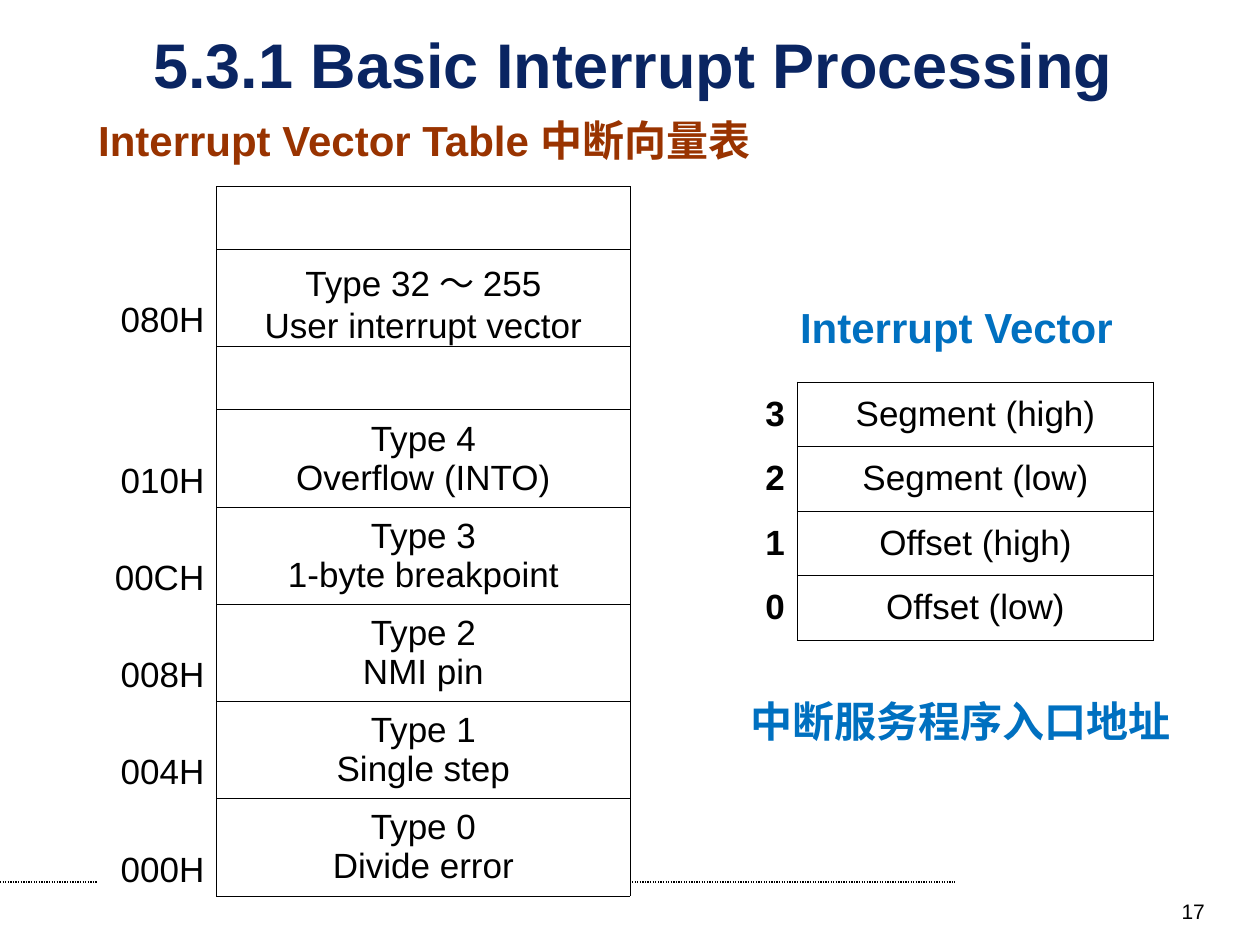
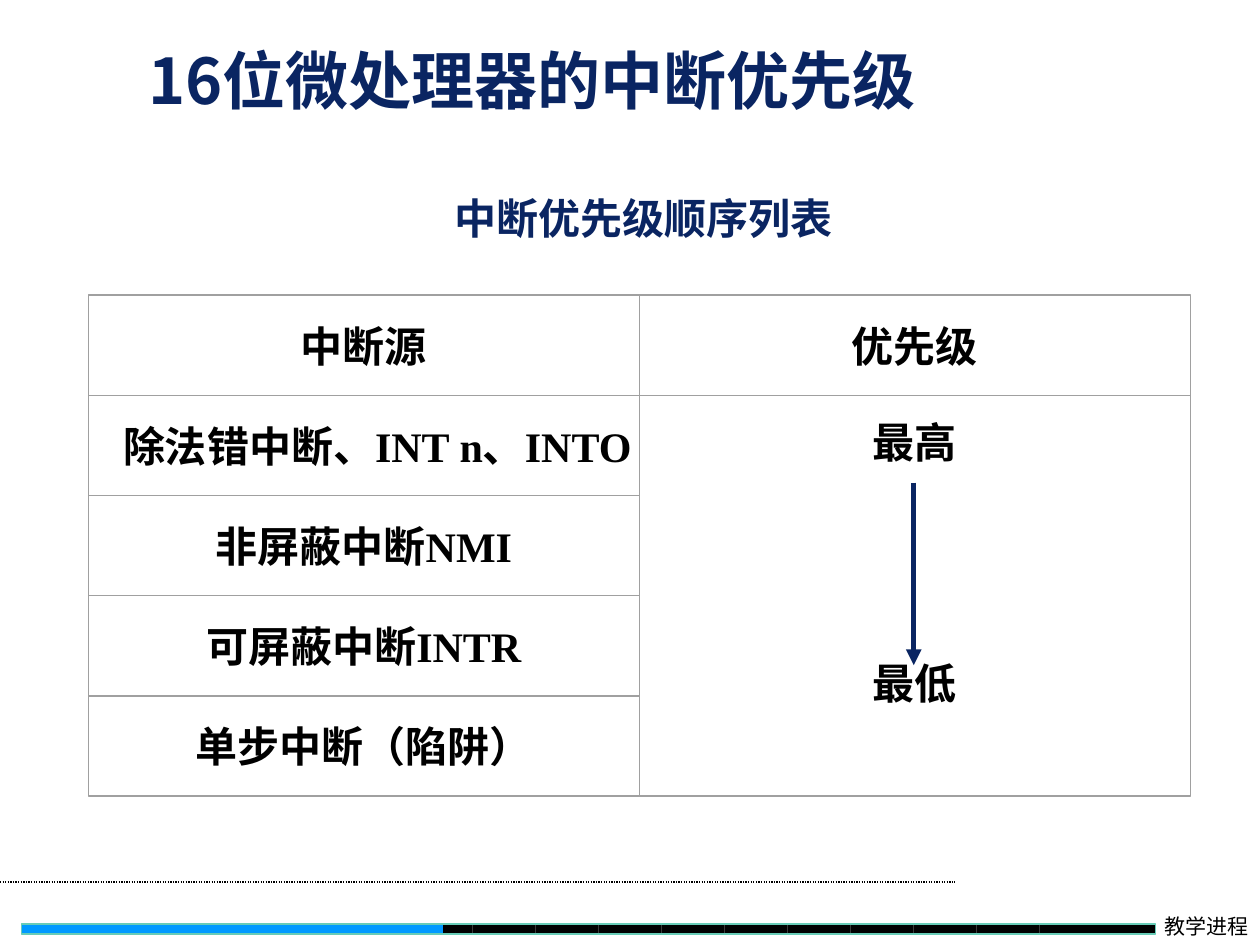
from lxml import etree
from pptx import Presentation
from pptx import util as u
from pptx.dml.color import RGBColor
from pptx.enum import dml, shapes, text
from pptx.oxml import ns

NAVY = RGBColor(0x0A, 0x25, 0x62)
RUST = RGBColor(0x99, 0x33, 0x00)
BLUE = RGBColor(0x00, 0x70, 0xC0)
BLACK = RGBColor(0, 0, 0)
WHITE = RGBColor(255, 255, 255)
GRID_GREY = RGBColor(0xA0, 0xA0, 0xA0)
PROGRESS_BLUE = RGBColor(0x00, 0x99, 0xFF)
PROGRESS_EDGE = RGBColor(0x68, 0xCC, 0xB7)

ARIAL, TIMES, CJK = "Arial", "Times New Roman", "Noto Sans CJK SC"
LEFT, CENTER = text.PP_ALIGN.LEFT, text.PP_ALIGN.CENTER
RIGHT, JUSTIFY = text.PP_ALIGN.RIGHT, text.PP_ALIGN.JUSTIFY
TOP, MIDDLE, BOTTOM = text.MSO_ANCHOR.TOP, text.MSO_ANCHOR.MIDDLE, text.MSO_ANCHOR.BOTTOM


class Deck:
    """Shared style and the slide being filled; lengths are centimetres."""

    def __init__(self):
        self.prs = Presentation()
        self.prs.slide_width, self.prs.slide_height = u.Cm(25.4), u.Cm(19.05)
        self.slide = None

    def new_slide(self):
        self.slide = self.prs.slides.add_slide(self.prs.slide_layouts[6])
        footer_rule = self.line(0, 17.78, 19.25, 17.78, BLACK, 0.75)
        footer_rule.line.dash_style = dml.MSO_LINE.ROUND_DOT

    def add_lines(self, frame, lines, size, color, font, bold, align, gap=0):
        for i, content in enumerate(lines):
            para = frame.paragraphs[0] if i == 0 else frame.add_paragraph()
            para.alignment = align
            if i and gap:
                para.space_before = u.Pt(gap)
            run = para.add_run()
            run.text = content
            run.font.size, run.font.bold, run.font.name = u.Pt(size), bold, font
            run.font.color.rgb = color
            east_asian = etree.SubElement(run._r.get_or_add_rPr(), ns.qn("a:ea"))
            east_asian.set("typeface", CJK)

    def text(self, left, top, width, height, *lines, size=24, color=BLACK, font=ARIAL,
             bold=True, align=LEFT, anchor=TOP, pad=(0.25, 0.13), wrap=True, gap=0):
        box = self.slide.shapes.add_textbox(u.Cm(left), u.Cm(top), u.Cm(width), u.Cm(height))
        frame = box.text_frame
        frame.word_wrap, frame.vertical_anchor = wrap, anchor
        frame.margin_left = frame.margin_right = u.Cm(pad[0])
        frame.margin_top = frame.margin_bottom = u.Cm(pad[1])
        self.add_lines(frame, lines, size, color, font, bold, align, gap)

    def rect(self, left, top, width, height, fill=None, edge=None, weight=0):
        box = self.slide.shapes.add_shape(shapes.MSO_SHAPE.RECTANGLE, u.Cm(left), u.Cm(top),
                                          u.Cm(width), u.Cm(height))
        box.shadow.inherit = False
        if fill is None:
            box.fill.background()
        else:
            box.fill.solid()
            box.fill.fore_color.rgb = fill
        if edge is None:
            box.line.fill.background()
        else:
            box.line.color.rgb, box.line.width = edge, u.Pt(weight)

    def line(self, x1, y1, x2, y2, color, weight, arrow=False):
        line = self.slide.shapes.add_connector(shapes.MSO_CONNECTOR.STRAIGHT, u.Cm(x1),
                                               u.Cm(y1), u.Cm(x2), u.Cm(y2))
        line.line.color.rgb, line.line.width = color, u.Pt(weight)
        props = line._element.spPr
        if arrow:
            etree.SubElement(props.find(ns.qn("a:ln")), ns.qn("a:tailEnd"), type="triangle")
        etree.SubElement(props, ns.qn("a:effectLst"))
        return line

    def grid_cell(self, left, top, width, height, *lines, text_width=None, **style):
        """Outlined cell with its text set slightly to the right."""
        self.text(left + 0.27, top, text_width or width - 0.54, height, *lines,
                  font=TIMES, align=CENTER, **style)
        self.rect(left, top, width, height, edge=GRID_GREY)

    def style_cell(self, cell, borders):
        props = cell._tc.get_or_add_tcPr()
        for side, color in zip("LRTB", borders):
            edge = etree.SubElement(props, ns.qn("a:ln" + side), w=str(u.Pt(0.45)))
            fill = etree.SubElement(edge, ns.qn("a:solidFill"))
            etree.SubElement(fill, ns.qn("a:srgbClr"), val=str(color))
        cell.fill.solid()
        cell.fill.fore_color.rgb = WHITE
        cell.margin_left = cell.margin_right = u.Cm(0.25)
        cell.margin_top = cell.margin_bottom = u.Cm(0.13)

    def memory_table(self, left, top, widths, rows, label_anchor, label_bold):
        """Rows are (height, label, lines); only the second column is boxed."""
        frame = self.slide.shapes.add_table(len(rows), 2, u.Cm(left), u.Cm(top),
                                            u.Cm(sum(widths)), u.Cm(sum(r[0] for r in rows)))
        table = frame.table
        for column, width in zip(table.columns, widths):
            column.width = u.Cm(width)
        for i, (height, label, lines) in enumerate(rows):
            table.rows[i].height = u.Cm(height)
            address, content = table.cell(i, 0), table.cell(i, 1)
            self.style_cell(address, (WHITE, BLACK, WHITE, WHITE))
            self.style_cell(content, (BLACK,) * 4)
            address.vertical_anchor, content.vertical_anchor = label_anchor, MIDDLE
            if lines:
                self.add_lines(address.text_frame, [label], 20, BLACK, ARIAL, label_bold, RIGHT)
                self.add_lines(content.text_frame, lines, 20, BLACK, ARIAL, False, CENTER)


def vector_table_slide(deck):
    deck.new_slide()
    deck.text(1.27, 0.64, 22.99, 1.27, "5.3.1 Basic Interrupt Processing", size=36,
              color=NAVY, align=CENTER, anchor=MIDDLE)
    deck.text(18.62, 17.98, 5.92, 0.69, "17", size=12, bold=False, align=RIGHT)
    deck.text(1.73, 2.18, 22.83, 1.27, "Interrupt Vector Table 中断向量表", color=RUST,
              align=JUSTIFY)

    # Vector table, highest address first
    gap_row = (1.27, "", ())
    vectors = [
        ("010H", ("Type 4", "Overflow (INTO)")),
        ("00CH", ("Type 3", "1-byte breakpoint")),
        ("008H", ("Type 2", "NMI pin")),
        ("004H", ("Type 1", "Single step")),
        ("000H", ("Type 0", "Divide error")),
    ]
    user_row = (1.96, "080H", ("Type 32 ～ 255", "User interrupt vector"))
    deck.memory_table(1.98, 3.76, (2.39, 8.33),
                      [gap_row, user_row, gap_row] + [(1.96, *v) for v in vectors],
                      BOTTOM, False)

    # The four bytes of one vector
    parts = ("Segment (high)", "Segment (low)", "Offset (high)", "Offset (low)")
    byte_rows = [(1.3, str(3 - i), [part]) for i, part in enumerate(parts)]
    deck.memory_table(13.89, 7.7, (2.18, 7.19), byte_rows, MIDDLE, True)
    deck.text(15.88, 5.94, 6.99, 1.27, "Interrupt Vector", color=BLUE)
    deck.text(14.88, 13.89, 9.37, 1.27, "中断服务程序入口地址", color=BLUE)


def priority_slide(deck):
    deck.new_slide()
    deck.text(2.74, 0.84, 17.78, 1.52, "16位微处理器的中断优先级", size=36, color=NAVY,
              font=CJK, pad=(0.25, 0))

    # Priority grid: sources on the left, one tall cell on the right
    left, top, width, height = 1.78, 5.95, 11.11, 2.02
    sources = ("中断源", "除法错中断、INT n、INTO", "非屏蔽中断NMI", "可屏蔽中断INTR",
               "单步中断（陷阱）")
    for i, source in enumerate(sources):
        deck.grid_cell(left, top + i * height, width, height, source, anchor=MIDDLE,
                       text_width=width if i == 1 else None)
    deck.grid_cell(left + width, top, width, height, "优先级", anchor=MIDDLE)
    deck.grid_cell(left + width, top + height, width, 4 * height, "最高", "最低",
                   pad=(0.25, 0.42), gap=109)
    deck.text(7.75, 3.76, 10.46, 1.27, "中断优先级顺序列表", color=NAVY, font=TIMES,
              align=CENTER)

    # Progress bar
    bar_left, bar_top, bar_height = 0.43, 18.63, 0.2
    third, quarter = 2.54 / 3, 2.54 / 4
    x = 2.12
    for step in [third] * 5 + [quarter] * 24 + [third] * 2:
        deck.rect(x, bar_top, step, bar_height, fill=BLACK)
        x += step
    deck.text(23.06, 18.42, 2.11, 0.53, "教学进程", size=12, font=TIMES, bold=False,
              align=RIGHT, pad=(0, 0), wrap=False)
    deck.rect(0.84, bar_top, 2, bar_height, fill=BLACK)
    deck.rect(bar_left, bar_top, 8.5, bar_height, fill=PROGRESS_BLUE)
    deck.rect(bar_left, bar_top, 22.86, bar_height, edge=PROGRESS_EDGE, weight=0.75)

    # Arrow from highest to lowest priority
    deck.line(18.42, 9.73, 18.42, 13.41, NAVY, 3, arrow=True)


def main():
    deck = Deck()
    vector_table_slide(deck)
    priority_slide(deck)
    deck.prs.save("out.pptx")


if __name__ == "__main__":
    main()
